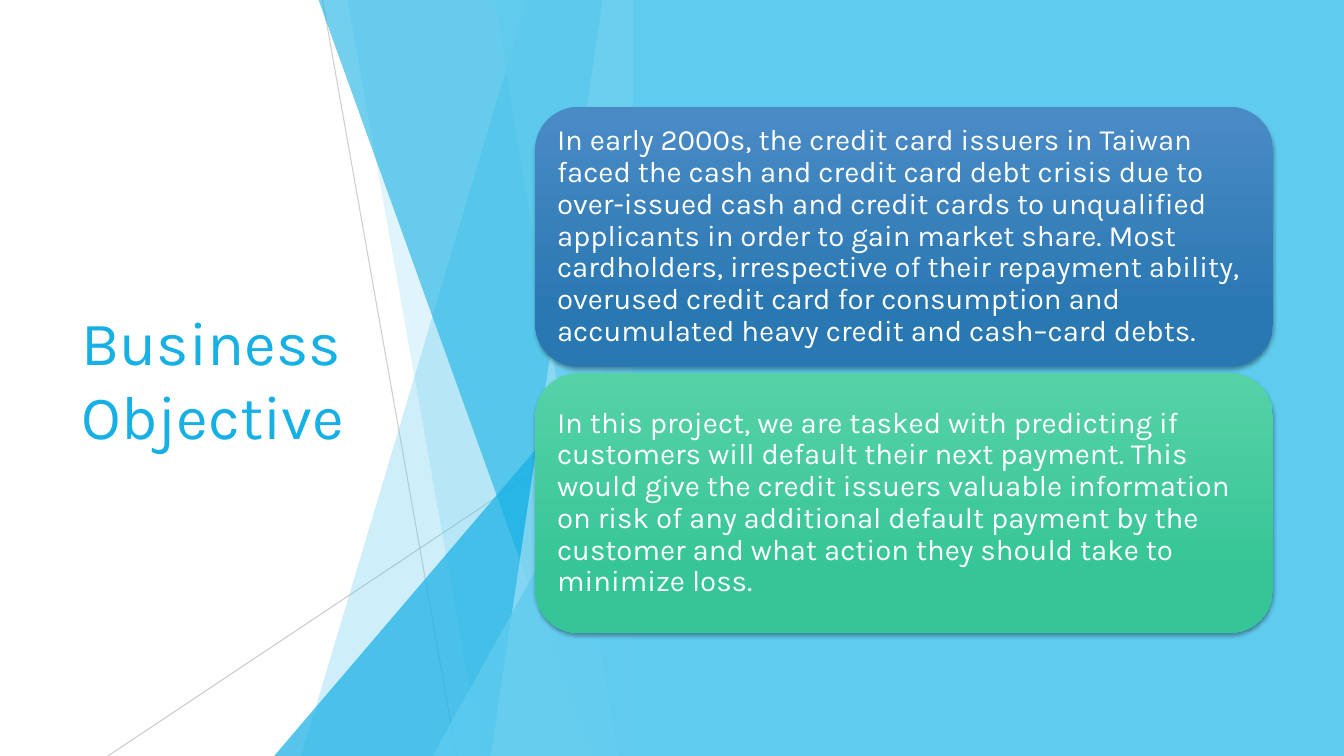
from dataclasses import dataclass

from lxml import etree
from pptx import Presentation
from pptx.dml.color import RGBColor
from pptx.enum.shapes import MSO_CONNECTOR, MSO_SHAPE
from pptx.enum.text import MSO_ANCHOR, PP_ALIGN
from pptx.oxml.ns import qn
from pptx.util import Cm, Pt

RECT, ROUND_RECT = MSO_SHAPE.RECTANGLE, MSO_SHAPE.ROUNDED_RECTANGLE
TRIANGLE = MSO_SHAPE.ISOSCELES_TRIANGLE
STRAIGHT = MSO_CONNECTOR.STRAIGHT
MIDDLE, LEFT = MSO_ANCHOR.MIDDLE, PP_ALIGN.LEFT


@dataclass(frozen=True)
class Theme:
    font: str = "Karla"
    title_size: int = 44
    body_size: int = 21
    accent: str = "17B0E4"
    sky: str = "5FCBEF"
    pale: str = "9FE0F5"
    white: str = "FFFFFF"
    ray: str = "BFBFBF"
    blue: tuple = ("4A8BC6", "2A78B2")
    green: tuple = ("56D2A7", "36C596")


T = Theme()
W, H = 33.87, 19.05
PANEL_X = 15.95  # where the facets meet the plain panel
CARDS = [
    ("In early 2000s, the credit card issuers in Taiwan faced the cash and credit card "
     "debt crisis due to over-issued cash and credit cards to unqualified applicants in "
     "order to gain market share. Most cardholders, irrespective of their repayment "
     "ability, overused credit card for consumption and accumulated heavy credit and "
     "cash–card debts.", T.blue),
    ("In this project, we are tasked with predicting if customers will default their next "
     "payment. This would give the credit issuers valuable information on risk of any "
     "additional default payment by the customer and what action they should take to "
     "minimize loss.", T.green),
]


def rgb(color):
    return RGBColor.from_string(color)


def set_alpha(sp, percent):
    for clr in sp.element.spPr.iter(qn("a:srgbClr")):
        etree.SubElement(clr, qn("a:alpha"), val=str(percent * 1000))


def paint(sp, color, alpha=100):
    sp.shadow.inherit = False
    sp.fill.solid()
    sp.fill.fore_color.rgb = rgb(color)
    sp.line.fill.background()
    if alpha < 100:
        set_alpha(sp, alpha)


def write(sp, text, size, color, inset):
    tf = sp.text_frame
    tf.word_wrap = True
    tf.vertical_anchor = MIDDLE
    tf.margin_left = tf.margin_right = tf.margin_top = tf.margin_bottom = Cm(inset)
    p = tf.paragraphs[0]
    p.text = text
    p.alignment = LEFT
    p.font.name, p.font.size = T.font, Pt(size)
    p.font.color.rgb = rgb(color)
    return p


def add_facets(s, right, top, height):
    """Overlapping facets; horizontal distances run leftwards from the right edge."""
    bottom = top + height

    def ray(x1, y1, x2, y2, alpha):
        cx = s.shapes.add_connector(STRAIGHT, Cm(right - x1), Cm(top + y1),
                                    Cm(right - x2), Cm(top + y2))
        cx.line.color.rgb = rgb(T.ray)
        cx.line.width = Pt(0.75)
        set_alpha(cx, alpha)
        etree.SubElement(cx.element.spPr, qn("a:effectLst"))

    def band(top_width, bottom_width, color, alpha):
        fb = s.shapes.build_freeform(Cm(right - top_width), Cm(top))
        fb.add_line_segments([(Cm(right), Cm(top)), (Cm(right), Cm(bottom)),
                              (Cm(right - bottom_width), Cm(bottom))])
        paint(fb.convert_to_shape(), color, alpha)

    def wedge(width, tall, color, alpha):
        sp = s.shapes.add_shape(TRIANGLE, Cm(right - width), Cm(bottom - tall),
                                Cm(width), Cm(tall))
        sp.adjustments[0] = 1
        paint(sp, color, alpha)

    ray(7.82, 0, 4.44, height, 75)
    ray(0, 10.24, 13.23, height, 80)
    band(2.67, 8.36, T.sky, 30)
    band(7.19, 3.81, T.sky, 20)
    wedge(9.04, 10.59, T.accent, 72)
    band(7.92, 1.07, T.accent, 60)
    band(0.76, 3.58, T.pale, 70)
    band(3.48, 0.38, T.sky, 65)
    wedge(5.05, 9.07, T.sky, 80)


def add_title(s, x, y, w, h):
    tb = s.shapes.add_textbox(Cm(x), Cm(y), Cm(w), Cm(h))
    write(tb, "Business Objective", T.title_size, T.accent, 0.25)


def add_panel(s, x, y, w, h):
    paint(s.shapes.add_shape(RECT, Cm(x), Cm(y), Cm(w), Cm(h)), T.sky)


def add_shadow(sp):
    sp.shadow.inherit = False
    effects = sp.element.spPr.find(qn("a:effectLst"))
    shadow = etree.SubElement(effects, qn("a:outerShdw"), blurRad=str(Pt(3)),
                              dist=str(Pt(2)), dir="5400000", rotWithShape="0")
    clr = etree.SubElement(shadow, qn("a:srgbClr"), val="000000")
    etree.SubElement(clr, qn("a:alpha"), val="35000")


def add_cards(s, x, y, w, h, gap=0.16):
    card_h = (h - gap * (len(CARDS) - 1)) / len(CARDS)
    for i, (text, colors) in enumerate(CARDS):
        sp = s.shapes.add_shape(ROUND_RECT, Cm(x), Cm(y + i * (card_h + gap)),
                                Cm(w), Cm(card_h))
        sp.line.fill.background()
        sp.fill.gradient()
        sp.fill.gradient_angle = 270
        for stop, color, position in zip(sp.fill.gradient_stops, colors, (0, 0.78)):
            stop.color.rgb = rgb(color)
            stop.position = position
        add_shadow(sp)
        p = write(sp, text, T.body_size, T.white, 0.23)
        p.line_spacing = 0.9


def main():
    prs = Presentation()
    prs.slide_width, prs.slide_height = Cm(W), Cm(H)
    s = prs.slides.add_slide(prs.slide_layouts[6])

    # Left side: facets and title
    add_facets(s, PANEL_X, 0, H)
    add_title(s, 1.8, 3.84, 9.86, 11.38)

    # Right side: plain panel and text cards
    add_panel(s, PANEL_X, 0, W - PANEL_X, H)
    add_cards(s, 13.49, 2.69, 18.59, 13.26)

    prs.save("out.pptx")


if __name__ == "__main__":
    main()
